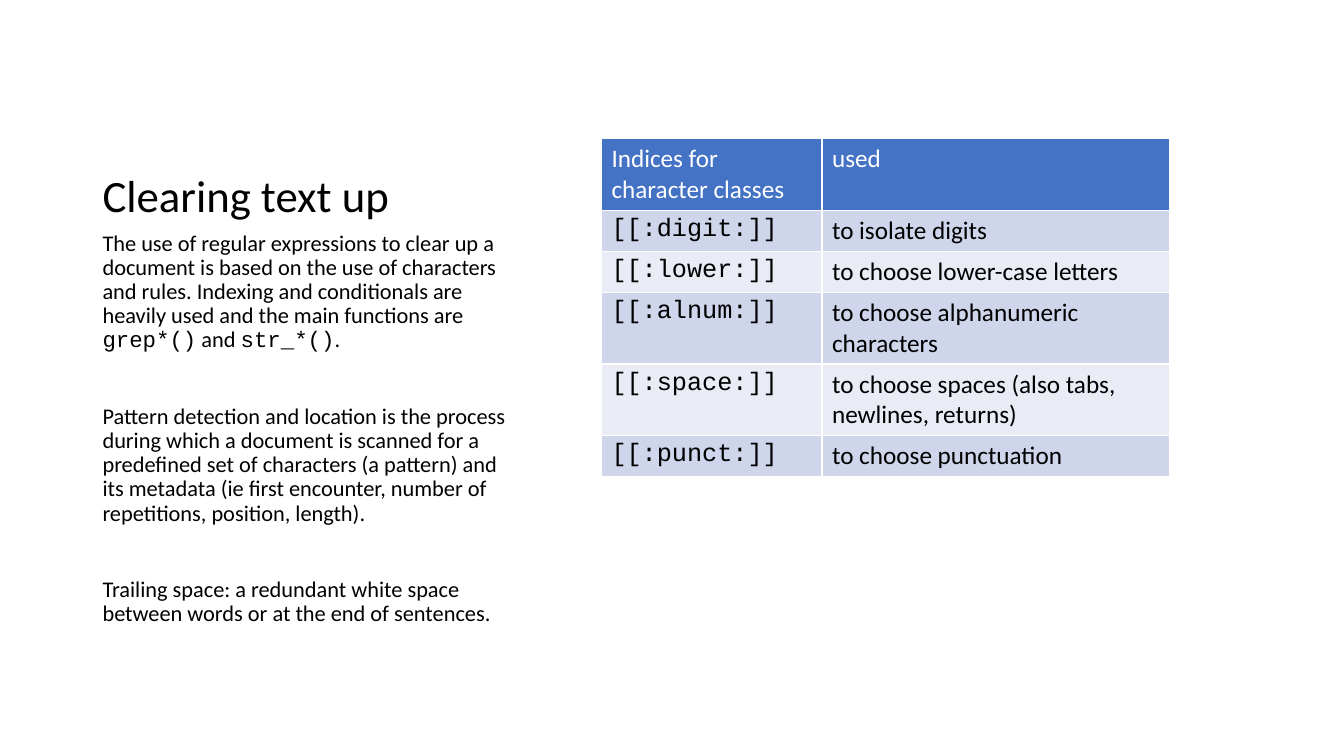
from pptx import Presentation
from pptx.dml.color import RGBColor
from pptx.enum.text import MSO_ANCHOR
from pptx.util import Pt

BOTTOM = MSO_ANCHOR.BOTTOM
TOP = MSO_ANCHOR.TOP
SANS, MONO = "Calibri", "Courier New"
COLORS = {"text": "000000", "header": "4472C4", "header_text": "FFFFFF",
          "odd": "CFD5EA", "even": "E9EBF5"}

TITLE = "Clearing text up"
BODY = [
    [("The use of regular expressions to clear up a document is based on the use of "
      "characters and rules. Indexing and conditionals are heavily used and the main "
      "functions are ", SANS), ("grep*()", MONO), (" and ", SANS), ("str_*()", MONO),
     (".", SANS)],
    [("Pattern detection and location is the process during which a document is scanned "
      "for a predefined set of characters (a pattern) and its metadata (ie first "
      "encounter, number of repetitions, position, length).", SANS)],
    [("Trailing space: a redundant white space between words or at the end of "
      "sentences.", SANS)],
]
CLASSES = [
    ("Indices for character classes", "used"),
    ("[[:digit:]]", "to isolate digits"),
    ("[[:lower:]]", "to choose lower-case letters"),
    ("[[:alnum:]]", "to choose alphanumeric characters"),
    ("[[:space:]]", "to choose spaces (also tabs, newlines, returns)"),
    ("[[:punct:]]", "to choose punctuation"),
]
COL_WIDTHS = (157.6, 248.4)
ONE_LINE, TWO_LINES = 29.2, 51.2
ROW_HEIGHTS = (TWO_LINES, ONE_LINE, ONE_LINE, TWO_LINES, TWO_LINES, ONE_LINE)


def set_font(font, size, color):
    """Set the size and colour of a font."""
    font.size = Pt(size)
    font.color.rgb = RGBColor.from_string(COLORS[color])


def add_text(s, box, paragraphs, size, anchor, gap=0):
    """Fill a text box with paragraphs of (text, typeface) runs."""
    tf = s.shapes.add_textbox(*map(Pt, box)).text_frame
    tf.word_wrap = True
    tf.vertical_anchor = anchor
    for i, runs in enumerate(paragraphs):
        p = tf.add_paragraph() if i else tf.paragraphs[0]
        p.line_spacing = 0.9
        p.space_before = Pt(gap if i else 0)
        set_font(p.font, size, "text")
        for text, typeface in runs:
            r = p.add_run()
            r.text = text
            r.font.name = typeface


def add_caption(s, left, top, width, height):
    """Place the title above the explanatory text."""
    title_height = 126
    add_text(s, (left, top, width, title_height), [[(TITLE, SANS)]], 32, BOTTOM)
    add_text(s, (left, top + title_height, width, height - title_height),
             BODY, 16, TOP, gap=37.5)


def add_class_table(s, left, top):
    """Place the table of character classes."""
    box = (left, top, sum(COL_WIDTHS), sum(ROW_HEIGHTS))
    table = s.shapes.add_table(len(CLASSES), len(COL_WIDTHS), *map(Pt, box)).table
    for column, width in zip(table.columns, COL_WIDTHS):
        column.width = Pt(width)
    for i, (row, texts) in enumerate(zip(table.rows, CLASSES)):
        row.height = Pt(ROW_HEIGHTS[i])
        fill = ("odd" if i % 2 else "even") if i else "header"
        for j, (cell, text) in enumerate(zip(row.cells, texts)):
            cell.fill.solid()
            cell.fill.fore_color.rgb = RGBColor.from_string(COLORS[fill])
            cell.text = text
            font = cell.text_frame.paragraphs[0].font
            set_font(font, 18, "text" if i else "header_text")
            font.name = MONO if i and j == 0 else SANS
            font.bold = False


def main():
    """Build and save the slide."""
    prs = Presentation()
    prs.slide_width, prs.slide_height = Pt(960), Pt(540)
    s = prs.slides.add_slide(prs.slide_layouts[6])
    add_caption(s, 66.2, 36, 309.6, 426)
    add_class_table(s, 429.6, 99.2)
    prs.save("out.pptx")


if __name__ == "__main__":
    main()
